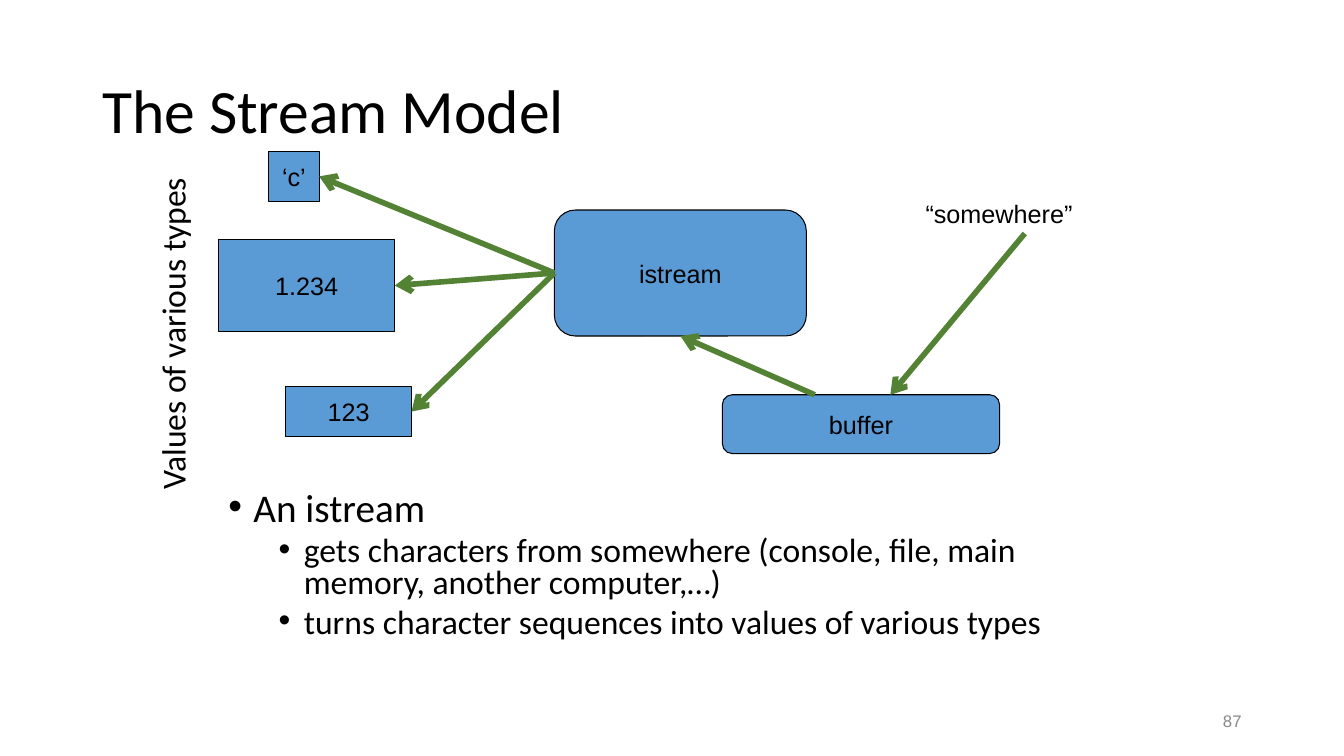
from dataclasses import dataclass

import pptx
import pptx.dml.color
import pptx.enum.shapes
import pptx.enum.text
import pptx.oxml.ns
import pptx.util
from lxml import etree

# The slide is a grid of 160 columns by 90 rows
COLS, ROWS = 160, 90
CELL = pptx.util.Inches(1) // 12

BLACK, BLUE, GREEN, GRAY = "000000", "5B9BD5", "548235", "898989"
SHAPE = pptx.enum.shapes.MSO_SHAPE
ALIGN = pptx.enum.text.PP_ALIGN
ANCHOR = pptx.enum.text.MSO_ANCHOR
FIT = pptx.enum.text.MSO_AUTO_SIZE.SHAPE_TO_FIT_TEXT


@dataclass(frozen=True)
class Area:
    col: float
    row: float
    cols: float
    rows: float

    def point(self, across: float, down: float) -> tuple[float, float]:
        """Grid point at the given shares of the width and height."""
        return self.col + across * self.cols, self.row + down * self.rows

    def emu(self) -> list[int]:
        return [cells(n) for n in (self.col, self.row, self.cols, self.rows)]


@dataclass(frozen=True)
class Box:
    text: str
    area: Area
    rounded: bool = False


@dataclass(frozen=True)
class Arrow:
    start: tuple[float, float]
    end: tuple[float, float]


def cells(n: float) -> int:
    return pptx.util.Emu(round(n * CELL))


def color(hex_string: str):
    return pptx.dml.color.RGBColor.from_string(hex_string)


def add_text(tf, text: str, *, size: float, font: str = "Arial", fill: str = BLACK,
             align=ALIGN.LEFT, spacing: float = 1.0, before: float = 0,
             indent: float | None = None, first: bool = True) -> None:
    """Write one paragraph; an indent, in cells, makes it a bullet."""
    p = tf.paragraphs[0] if first else tf.add_paragraph()
    if indent is not None:
        pPr = p._p.get_or_add_pPr()
        pPr.set("marL", str(cells(indent)))
        pPr.set("indent", str(cells(-3)))
        for tag, key, value in (("a:buFont", "typeface", "Arial"), ("a:buChar", "char", "•")):
            etree.SubElement(pPr, pptx.oxml.ns.qn(tag)).set(key, value)
    p.alignment = align
    p.line_spacing = spacing
    p.space_before = pptx.util.Pt(before)
    r = p.add_run()
    r.text = text
    r.font.size = pptx.util.Pt(size)
    r.font.name = font
    r.font.color.rgb = color(fill)


def add_frame(s, area: Area, *, anchor=ANCHOR.TOP, wrap: bool = True,
              grow: bool = False, rotation: float = 0):
    sp = s.shapes.add_textbox(*area.emu())
    sp.rotation = rotation
    tf = sp.text_frame
    tf.word_wrap = wrap
    tf.vertical_anchor = anchor
    if grow:
        tf.auto_size = FIT
    return tf


def add_box(s, box: Box) -> None:
    kind = SHAPE.ROUNDED_RECTANGLE if box.rounded else SHAPE.RECTANGLE
    sp = s.shapes.add_shape(kind, *box.area.emu())
    sp.shadow.inherit = False
    sp.fill.solid()
    sp.fill.fore_color.rgb = color(BLUE)
    sp.line.color.rgb = color(BLACK)
    sp.line.width = pptx.util.Pt(0.75)
    tf = sp.text_frame
    tf.word_wrap = False
    tf.vertical_anchor = ANCHOR.MIDDLE
    add_text(tf, box.text, size=18, align=ALIGN.CENTER)


def add_arrow(s, arrow: Arrow) -> None:
    ends = [cells(n) for n in arrow.start + arrow.end]
    cxn = s.shapes.add_connector(pptx.enum.shapes.MSO_CONNECTOR.STRAIGHT, *ends)
    cxn.line.color.rgb = color(GREEN)
    cxn.line.width = pptx.util.Pt(4)
    qn = pptx.oxml.ns.qn
    etree.SubElement(cxn.line._get_or_add_ln(), qn("a:tailEnd")).set("type", "arrow")
    etree.SubElement(cxn._element.spPr, qn("a:effectLst"))


# Diagram parts
CHAR = Box("‘c’", Area(32, 18, 6, 6))
DOUBLE = Box("1.234", Area(26, 28.5, 21, 11))
INTEGER = Box("123", Area(34, 46, 15, 6))
ISTREAM = Box("istream", Area(66, 25, 30, 15), rounded=True)
BUFFER = Box("buffer", Area(86, 47, 33, 7), rounded=True)
SOMEWHERE = Area(109, 23, 26, 4.8)
VALUES = (CHAR, DOUBLE, INTEGER)

ARROWS = [
    Arrow(SOMEWHERE.point(0.5, 1), (106, BUFFER.area.row)),
    Arrow((97, BUFFER.area.row), ISTREAM.area.point(0.5, 1)),
    *(Arrow(ISTREAM.area.point(0, 0.5), v.area.point(1, 0.5)) for v in VALUES),
]

BULLETS = [
    ("An istream", 28, 3),
    ("gets characters from somewhere (console, file, main memory, another computer,…)", 24, 9),
    ("turns character sequences into values of various types", 24, 9),
]


def main() -> None:
    prs = pptx.Presentation()
    prs.slide_width, prs.slide_height = cells(COLS), cells(ROWS)
    s = prs.slides.add_slide(prs.slide_layouts[6])

    # Title
    tf = add_frame(s, Area(11, 4.8, 138, 17.4), anchor=ANCHOR.MIDDLE)
    add_text(tf, "The Stream Model", size=44, font="Calibri", spacing=0.9)

    # Bullets
    tf = add_frame(s, Area(26, 58, 107, 19.4))
    for i, (text, size, indent) in enumerate(BULLETS):
        add_text(tf, text, size=size, font="Calibri", spacing=0.8,
                 before=5 if i else 0, indent=indent, first=i == 0)

    # Slide number
    tf = add_frame(s, Area(113, 83.4, 36, 4.8), anchor=ANCHOR.MIDDLE)
    add_text(tf, "87", size=12, fill=GRAY, align=ALIGN.RIGHT)

    # Diagram
    for box in (*VALUES, ISTREAM, BUFFER):
        add_box(s, box)
    add_text(add_frame(s, SOMEWHERE, grow=True), "“somewhere”", size=18)
    for arrow in ARROWS:
        add_arrow(s, arrow)

    # Vertical label
    tf = add_frame(s, Area(0.5, 36.5, 40, 6), wrap=False, grow=True, rotation=270)
    add_text(tf, "Values of various types", size=24, font="Calibri")

    prs.save("out.pptx")


if __name__ == "__main__":
    main()
